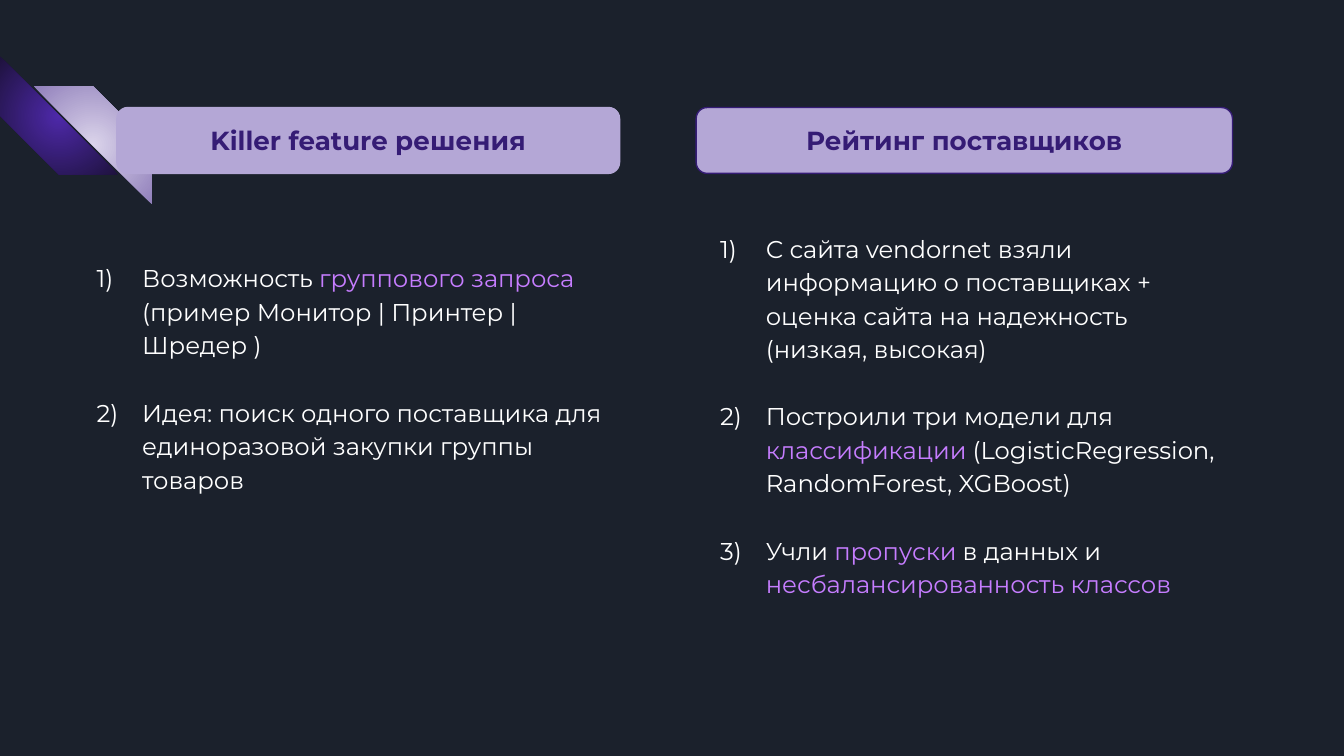
from lxml import etree
from pptx import Presentation
from pptx import util as u
from pptx.dml.color import RGBColor
from pptx.enum import shapes, text
from pptx.oxml import ns

NIGHT = RGBColor(0x1B, 0x21, 0x2C)
WHITE = RGBColor(0xFF, 0xFF, 0xFF)
ACCENT = RGBColor(0xC6, 0x7D, 0xFF)
LILAC = RGBColor(0xB4, 0xA7, 0xD6)
INDIGO = RGBColor(0x35, 0x1C, 0x75)
VIOLET = RGBColor(0x4E, 0x29, 0xAA)
DEEP_VIOLET = RGBColor(0x1E, 0x12, 0x3D)
PALE = RGBColor(0xDB, 0xD4, 0xEB)
DUSTY = RGBColor(0x91, 0x80, 0xBB)


def add_xml(parent, tag, **attrs):
    return etree.SubElement(parent, ns.qn(tag), attrs)


class Deck:
    font = "Montserrat"
    heading_size = u.Pt(14)
    body_size = u.Pt(13)
    item_gap = u.Pt(18)
    inset = u.Inches(0.1)

    def __init__(self, slide):
        self.s = slide

    def background(self, color):
        fill = self.s.background.fill
        fill.solid()
        fill.fore_color.rgb = color

    def shape(self, kind, x, y, w, h):
        sp = self.s.shapes.add_shape(
            kind, u.Inches(x), u.Inches(y), u.Inches(w), u.Inches(h))
        sp.shadow.inherit = False
        return sp

    def frame(self, sp):
        tf = sp.text_frame
        tf.word_wrap = True
        tf.margin_left = tf.margin_right = self.inset
        tf.margin_top = tf.margin_bottom = self.inset
        return tf

    def stripe(self, x, y, size, inner, outer, rotation=0, flip=False):
        """Diagonal ribbon with a radial gradient."""
        sp = self.shape(shapes.MSO_SHAPE.DIAGONAL_STRIPE, x, y, size, size)
        sp.adjustments[0] = 0.5
        sp.rotation = rotation
        sp.line.fill.background()
        sp.fill.gradient()
        for stop, color in zip(sp.fill.gradient_stops, (inner, outer)):
            stop.color.rgb = color
        grad = sp._element.spPr.find(ns.qn("a:gradFill"))
        grad.remove(grad.find(ns.qn("a:lin")))
        circle = add_xml(grad, "a:path", path="circle")
        add_xml(circle, "a:fillToRect", l="50000", t="50000", r="50000", b="50000")
        if flip:
            sp._element.spPr.find(ns.qn("a:xfrm")).set("flipH", "1")

    def heading(self, x, y, w, h, title, border):
        sp = self.shape(
            shapes.MSO_SHAPE.FLOWCHART_ALTERNATE_PROCESS, x, y, w, h)
        sp.fill.solid()
        sp.fill.fore_color.rgb = LILAC
        sp.line.color.rgb = border
        sp.line.width = u.Pt(0.75)
        tf = self.frame(sp)
        tf.vertical_anchor = text.MSO_ANCHOR.MIDDLE
        p = tf.paragraphs[0]
        p.alignment = text.PP_ALIGN.CENTER
        p.font.name, p.font.size, p.font.bold = self.font, self.heading_size, True
        r = p.add_run()
        r.text = title
        r.font.color.rgb = INDIGO

    def numbered_list(self, x, y, w, h, items):
        """Each item is a list of (words, color) runs."""
        tf = self.frame(self.s.shapes.add_textbox(
            u.Inches(x), u.Inches(y), u.Inches(w), u.Inches(h)))
        for i, item in enumerate(items):
            p = tf.add_paragraph() if i else tf.paragraphs[0]
            p.line_spacing = 1.15
            if i:
                p.space_before = self.item_gap
            pPr = p._p.get_or_add_pPr()
            pPr.set("marL", str(u.Inches(0.5)))
            pPr.set("indent", str(u.Inches(-0.34)))
            add_xml(add_xml(pPr, "a:buClr"), "a:srgbClr", val=str(WHITE))
            add_xml(pPr, "a:buFont", typeface=self.font)
            add_xml(pPr, "a:buAutoNum", type="arabicParenR")
            p.font.name, p.font.size = self.font, self.body_size
            for words, color in item:
                r = p.add_run()
                r.text = words
                r.font.color.rgb = color


def main():
    # Widescreen 16:9
    prs = Presentation()
    prs.slide_width = u.Inches(10)
    prs.slide_height = prs.slide_width * 9 // 16
    deck = Deck(prs.slides.add_slide(prs.slide_layouts[6]))
    deck.background(NIGHT)

    # Corner ribbons
    deck.stripe(0, 0.42, 0.88, VIOLET, DEEP_VIOLET, rotation=270)
    deck.stripe(0.25, 0.64, 0.88, PALE, DUSTY, flip=True)

    # Left column: killer feature
    deck.heading(0.87, 0.8, 3.74, 0.49, "Killer feature решения", LILAC)
    deck.numbered_list(0.46, 1.83, 4.15, 1.96, [
        [("Возможность ", WHITE), ("группового запроса", ACCENT),
         (" (пример Монитор | Принтер | Шредер )", WHITE)],
        [("Идея: поиск одного поставщика для единоразовой закупки "
          "группы товаров", WHITE)],
    ])

    # Right column: supplier rating
    deck.heading(5.18, 0.8, 3.99, 0.49, "Рейтинг поставщиков", INDIGO)
    deck.numbered_list(5.1, 1.61, 4.15, 3.19, [
        [("С сайта vendornet взяли информацию о поставщиках + оценка сайта "
          "на надежность (низкая, высокая)", WHITE)],
        [("Построили три модели для ", WHITE), ("классификации", ACCENT),
         (" (LogisticRegression, RandomForest, XGBoost)", WHITE)],
        [("Учли ", WHITE), ("пропуски", ACCENT), (" в данных и ", WHITE),
         ("несбалансированность классов", ACCENT)],
    ])

    prs.save("out.pptx")


if __name__ == "__main__":
    main()
